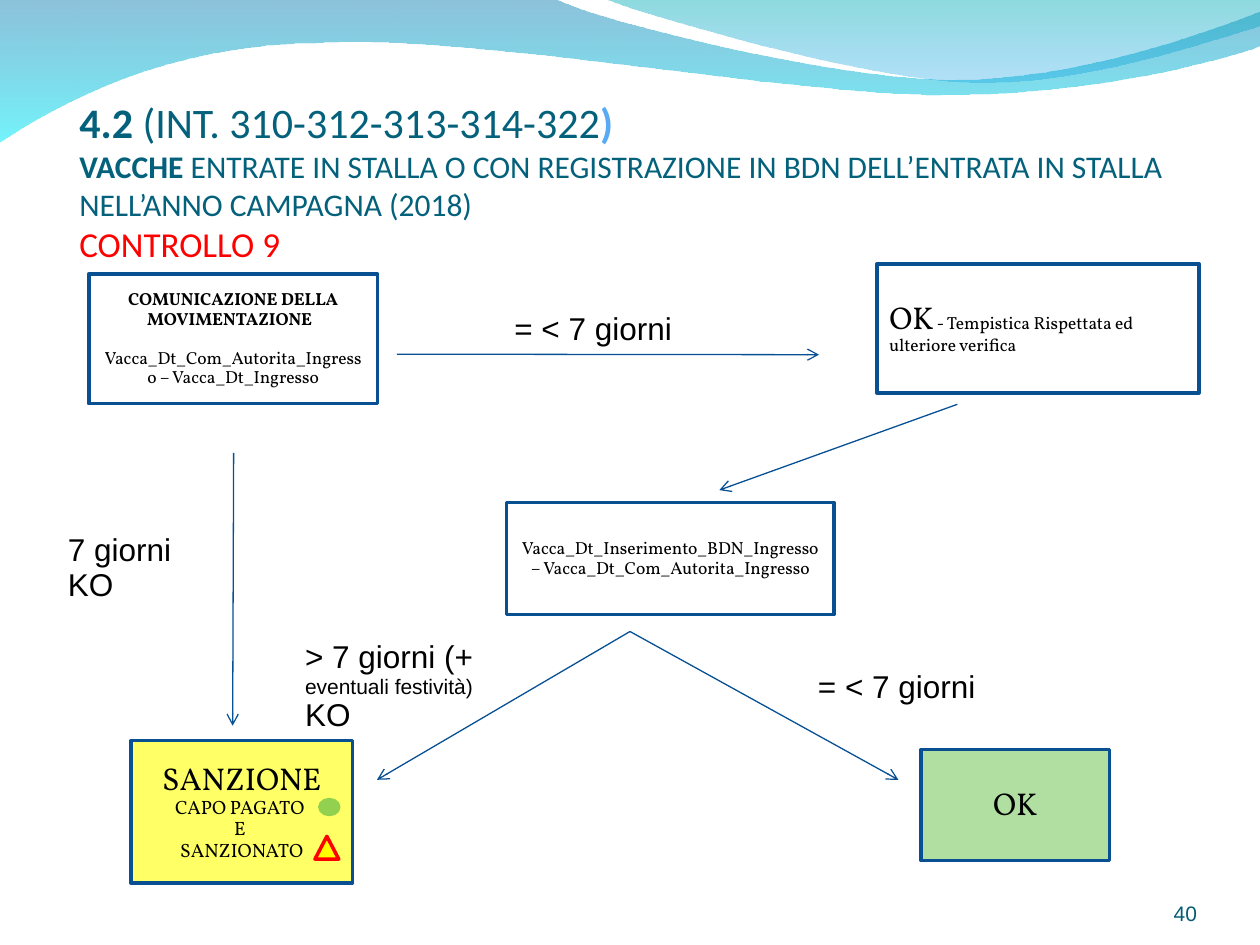
from typing import NamedTuple

from lxml import etree
from pptx import Presentation
from pptx import util as u
from pptx.dml.color import RGBColor
from pptx.enum import shapes, text
from pptx.oxml import ns

COLOURS = {
    "white": "FFFFFF", "black": "000000", "red": "FF0000", "yellow": "FFFF00",
    "border": "085091", "arrow": "065093", "title": "04617B", "bracket": "59AAF2",
    "number": "045C75", "sanction": "FFFF66", "approved": "B0DFA1", "dot": "92D050",
}


class Run(NamedTuple):
    words: str
    size: float
    bold: bool = False
    colour: str = "black"
    breaks: bool = False


class Box(NamedTuple):
    left: float
    top: float
    width: float
    height: float


class Step(NamedTuple):
    box: Box
    fill: str
    lines: list[list[Run]]
    align: text.PP_ALIGN = text.PP_ALIGN.CENTER
    gap: float = 0


class Label(NamedTuple):
    box: Box
    lines: list[list[Run]]
    wrap: bool = False


class Arrow(NamedTuple):
    start: tuple[float, float]
    end: tuple[float, float]


class Wave(NamedTuple):
    """Outline in hundredths of an inch: points are line ends, six numbers are a curve."""
    outline: list[tuple[int, ...]]
    stops: list[tuple[int, str, int]]


WAVES = [
    Wave([(0, -1), (440, -1), (476, 17, 664, 63, 758, 63), (853, 63, 958, 26, 1000, 9),
          (1001, 36), (983, 44, 870, 76, 746, 75), (622, 75, 382, 28, 257, 34),
          (129, 35, 46, 83, -1, 113)],
         [(0, "0079AF", 45), (100, "00EBF8", 55)]),
    Wave([(479, -1), (509, 11, 682, 62, 769, 65), (856, 69, 961, 32, 1000, 21), (1000, 0)],
         [(0, "00ADB6", 45), (100, "009BE5", 30)]),
]

TITLE = [[
    Run("4.2 ", 24, True, "title"),
    Run("(INT. 310-312-313-314-322", 24, False, "title"),
    Run(")", 24, True, "bracket", breaks=True),
    Run("VACCHE", 18, True, "title"),
    Run(" ENTRATE IN STALLA O CON REGISTRAZIONE IN BDN DELL’ENTRATA IN STALLA "
        "NELL’ANNO CAMPAGNA (2018) ", 18, False, "title", breaks=True),
    Run("CONTROLLO 9", 20, False, "red"),
]]

STEPS = [
    Step(Box(1.79, 5.52, 5.82, 2.62), "white",
         [[Run("COMUNICAZIONE DELLA MOVIMENTAZIONE  ", 10, True)],
          [Run("Vacca_Dt_Com_Autorita_Ingresso – Vacca_Dt_Ingresso", 10)]], gap=11),
    Step(Box(17.68, 5.32, 6.49, 2.6), "white",
         [[Run("OK", 18), Run(" - Tempistica Rispettata ed ulteriore verifica", 10)]],
         text.PP_ALIGN.LEFT),
    Step(Box(10.21, 10.13, 6.6, 2.26), "white",
         [[Run("Vacca_Dt_Inserimento_BDN_Ingresso – Vacca_Dt_Com_Autorita_Ingresso", 10)]]),
    Step(Box(18.57, 15.11, 3.8, 2.24), "approved", [[Run("OK", 18)]]),
    Step(Box(2.64, 14.93, 4.47, 2.87), "sanction",
         [[Run("SANZIONE", 18)], [Run("CAPO PAGATO ", 11)], [Run("E ", 11)],
          [Run("SANZIONATO", 11)]]),
]

WITHIN_LIMIT = [[Run("= < 7 giorni", 18)]]
LABELS = [
    Label(Box(1.12, 10.63, 2.59, 1.68), [[Run("7 giorni", 18)], [Run("KO", 18)]]),
    Label(Box(10.12, 6.17, 3.68, 0.97), WITHIN_LIMIT),
    Label(Box(5.9, 12.78, 4.19, 2.16),
          [[Run("> 7 giorni (+", 18), Run(" eventuali festività) ", 12), Run("KO", 18)]], True),
    Label(Box(16.24, 13.39, 3.68, 0.97), WITHIN_LIMIT),
]

FORK = (12.7, 12.73)
ARROWS = [
    Arrow((4.71, 9.13), (4.69, 14.63)),
    Arrow((8, 7.14), (16.51, 7.15)),
    Arrow((19.3, 8.15), (14.5, 9.88)),
    Arrow(FORK, (7.6, 15.72)),
    Arrow(FORK, (18.11, 15.72)),
]


def rgb(name: str) -> RGBColor:
    return RGBColor.from_string(COLOURS[name])


def cm(values) -> list[u.Length]:
    return [u.Cm(value) for value in values]


def write(frame, lines: list[list[Run]], font: str, align=text.PP_ALIGN.LEFT,
          anchor=text.MSO_ANCHOR.TOP, spacing: float = 0.93, gap: float = 0) -> None:
    """Fill the frame, one paragraph a line, with a gap in points between paragraphs."""
    frame.vertical_anchor = anchor
    for index, line in enumerate(lines):
        paragraph = frame.add_paragraph() if index else frame.paragraphs[0]
        paragraph.alignment = align
        paragraph.line_spacing = spacing
        paragraph.space_before = u.Pt(gap if index else 0)
        for part in line:
            run = paragraph.add_run()
            run.text = part.words
            run.font.name = font
            run.font.size = u.Pt(part.size)
            run.font.bold = part.bold
            run.font.color.rgb = rgb(part.colour)
            if part.breaks:
                paragraph.add_line_break()


def add_text(slide, box: Box, wrap: bool = True, padded: bool = True):
    frame = slide.shapes.add_textbox(*cm(box)).text_frame
    frame.word_wrap = wrap
    if not padded:
        frame.margin_left = frame.margin_right = frame.margin_top = frame.margin_bottom = 0
    return frame


def add_label(slide, label: Label) -> None:
    frame = add_text(slide, label.box, label.wrap)
    frame.auto_size = text.MSO_AUTO_SIZE.SHAPE_TO_FIT_TEXT
    write(frame, label.lines, "Arial")


def add_figure(slide, kind: shapes.MSO_SHAPE, box: Box, fill: str, line: str):
    figure = slide.shapes.add_shape(kind, *cm(box))
    figure.shadow.inherit = False
    figure.fill.solid()
    figure.fill.fore_color.rgb = rgb(fill)
    figure.line.color.rgb = rgb(line)
    figure.line.width = u.Pt(2)
    return figure


def add_step(slide, step: Step) -> None:
    frame = add_figure(slide, shapes.MSO_SHAPE.RECTANGLE, step.box, step.fill, "border").text_frame
    frame.word_wrap = True
    write(frame, step.lines, "Vollkorn", step.align, text.MSO_ANCHOR.MIDDLE, gap=step.gap)


def add_arrow(slide, arrow: Arrow) -> None:
    line = slide.shapes.add_connector(shapes.MSO_CONNECTOR.STRAIGHT,
                                      *cm(arrow.start + arrow.end))
    line.line.color.rgb = rgb("arrow")
    line.line.width = u.Pt(0.75)
    etree.SubElement(line.line._get_or_add_ln(), ns.qn("a:tailEnd"), type="arrow")
    etree.SubElement(line._element.spPr, ns.qn("a:effectLst"))


def bend(shape, outline: list[tuple[int, ...]]) -> None:
    """Turn the straight pieces of a freeform into the curves of its outline."""
    left, top = (min(piece[axis] for piece in (p[-2:] for p in outline)) for axis in (0, 1))
    segments = list(shape._element.iter(ns.qn("a:lnTo")))
    for segment, piece in zip(segments, outline[1:]):
        if len(piece) == 2:
            continue
        segment.tag = ns.qn("a:cubicBezTo")
        segment.remove(segment[0])
        for x, y in zip(piece[::2], piece[1::2]):
            etree.SubElement(segment, ns.qn("a:pt"), x=str(x - left), y=str(y - top))


def add_wave(slide, wave: Wave) -> None:
    start, *rest = [piece[-2:] for piece in wave.outline]
    builder = slide.shapes.build_freeform(*start, scale=u.Cm(0.0254))
    builder.add_line_segments(rest, close=True)
    shape = builder.convert_to_shape()
    bend(shape, wave.outline)
    shape.shadow.inherit = False
    shape.line.fill.background()
    shape.fill.gradient()
    gradient = shape._element.spPr.find(ns.qn("a:gradFill"))
    for child in list(gradient):
        gradient.remove(child)
    stops = etree.SubElement(gradient, ns.qn("a:gsLst"))
    for position, colour, opacity in wave.stops:
        stop = etree.SubElement(stops, ns.qn("a:gs"), pos=str(position * 1000))
        tint = etree.SubElement(stop, ns.qn("a:srgbClr"), val=colour)
        etree.SubElement(tint, ns.qn("a:alpha"), val=str(opacity * 1000))
    etree.SubElement(gradient, ns.qn("a:lin"), ang="5400000", scaled="0")


def main() -> None:
    deck = Presentation()
    deck.slide_width, deck.slide_height = cm((25.4, 19.05))
    slide = deck.slides.add_slide(deck.slide_layouts[6])
    for wave in WAVES:
        add_wave(slide, wave)
    heading = add_text(slide, Box(1.6, 3.81, 23.8, 2.36), padded=False)
    heading.margin_bottom = u.Cm(0.84)
    write(heading, TITLE, "Calibri", anchor=text.MSO_ANCHOR.BOTTOM, spacing=1)
    write(add_text(slide, Box(22.02, 17.65, 2.11, 1.02), padded=False),
          [[Run("40", 12, False, "number")]], "Arial", text.PP_ALIGN.RIGHT,
          text.MSO_ANCHOR.BOTTOM)
    for step in STEPS:
        add_step(slide, step)
    for label in LABELS:
        add_label(slide, label)
    for arrow in ARROWS:
        add_arrow(slide, arrow)
    add_figure(slide, shapes.MSO_SHAPE.FLOWCHART_CONNECTOR, Box(6.45, 16.12, 0.38, 0.3),
               "dot", "dot")
    add_figure(slide, shapes.MSO_SHAPE.ISOSCELES_TRIANGLE, Box(6.35, 16.86, 0.48, 0.46),
               "yellow", "red")
    deck.save("out.pptx")


if __name__ == "__main__":
    main()
